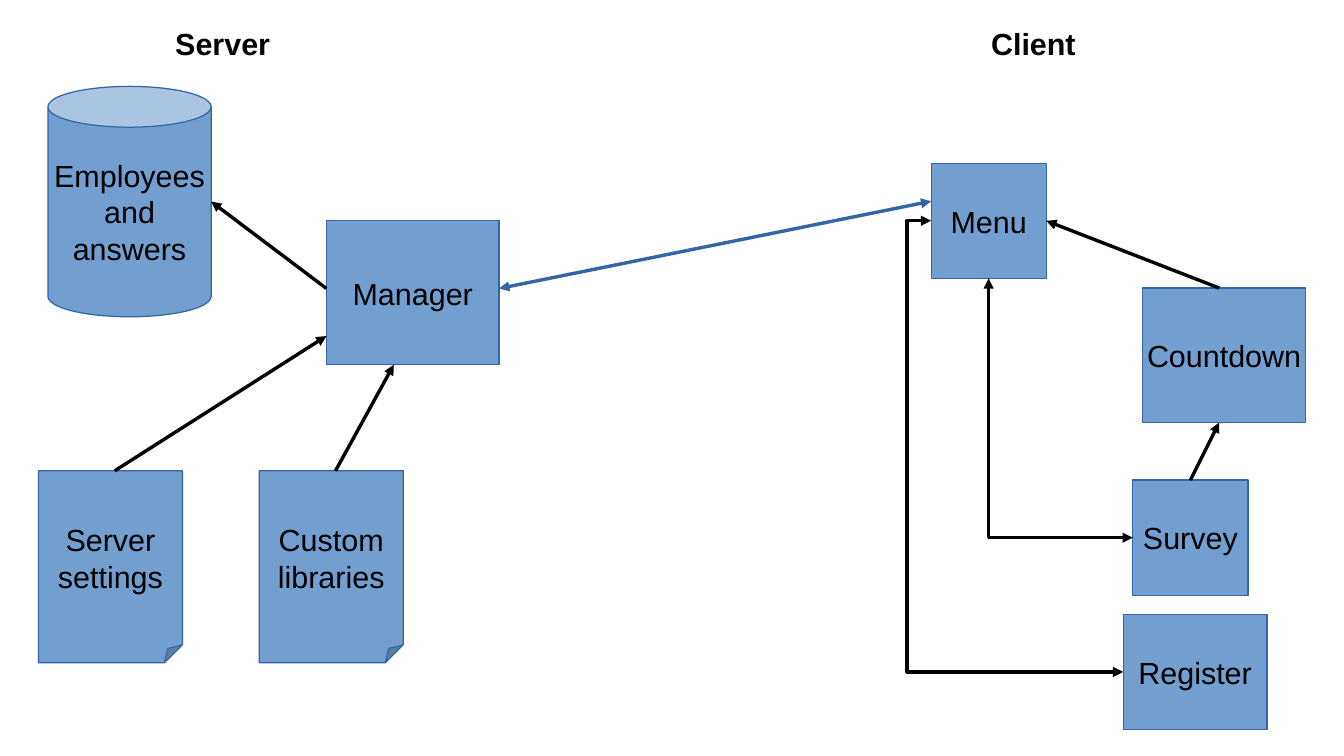
from pptx import Presentation
from pptx.dml.color import RGBColor
from pptx.enum.shapes import MSO_CONNECTOR, MSO_SHAPE
from pptx.enum.text import MSO_ANCHOR, PP_ALIGN
from pptx.oxml.ns import qn
from pptx.util import Pt
from lxml.etree import SubElement

FILL, EDGE, BLACK = "729FCF", "3465A4", "000000"

# Content: headings as text, left
HEADINGS = [("Server", 96.4), ("Client", 578.2)]

# Boxes as name: text, shape, left, top, width, height
BOXES = {
    "countdown": ("Countdown", MSO_SHAPE.RECTANGLE, 674.7, 170.1, 96.4, 79.4),
    "manager": ("Manager", MSO_SHAPE.RECTANGLE, 192.8, 130.4, 102, 85),
    "database": ("Employees\nand\nanswers", MSO_SHAPE.CAN, 28.3, 51, 96.4, 136.1),
    "settings": ("Server\nsettings", MSO_SHAPE.FOLDED_CORNER, 22.7, 278, 85, 113.4),
    "libraries": ("Custom\vlibraries", MSO_SHAPE.FOLDED_CORNER, 153.1, 278, 85, 113.4),
    "menu": ("Menu", MSO_SHAPE.RECTANGLE, 549.9, 96.4, 68, 68),
    "register": ("Register", MSO_SHAPE.RECTANGLE, 663.3, 362.8, 85, 68),
    "survey": ("Survey", MSO_SHAPE.RECTANGLE, 669, 283.5, 68, 68),
}
ADJUSTMENTS = {MSO_SHAPE.CAN: 25000, MSO_SHAPE.FOLDED_CORNER: 12500}

# Arrows: each end is a box and a share of its width and height
ARROWS = [
    (("libraries", 0.53, 0), ("manager", 0.39, 1)),
    (("settings", 0.53, 0), ("manager", 0, 0.8)),
    (("manager", 0, 0.47), ("database", 1, 0.5)),
    (("survey", 0.5, 0), ("countdown", 0.47, 1)),
    (("countdown", 0.47, 0), ("menu", 1, 0.5)),
]
TWO_WAY = [
    (("manager", 1, 0.47), ("menu", 0, 0.33), {"color": EDGE}),
    (("survey", 0, 0.5), ("menu", 0.5, 1), {"preset": "bentConnector2"}),
    (("menu", 0, 0.5), ("register", 0, 0.5), {"preset": "bentConnector3", "bend": -12500}),
]


def rgb(value):
    return RGBColor.from_string(value)


def write(shape, text, bold=None, align=PP_ALIGN.LEFT, anchor=MSO_ANCHOR.TOP, wrap=True):
    frame = shape.text_frame
    frame.text = text
    frame.word_wrap = wrap
    frame.vertical_anchor = anchor
    for para in frame.paragraphs:
        para.alignment = align
        for span in para.runs:
            span.font.name = "Arial"
            span.font.size = Pt(18)
            span.font.bold = bold
            span.font.color.rgb = rgb(BLACK)


def adjust(geometry, guide, value):
    for old in geometry.findall(qn("a:avLst")):
        geometry.remove(old)
    guides = SubElement(geometry, qn("a:avLst"))
    SubElement(guides, qn("a:gd"), name=guide, fmla=f"val {value}")


def place(end):
    name, across, down = end
    left, top, width, height = BOXES[name][2:]
    return Pt(left + across * width), Pt(top + down * height)


def connect(page, start, finish, color=BLACK, preset=None, bend=None, both=False):
    kind = MSO_CONNECTOR.ELBOW if preset else MSO_CONNECTOR.STRAIGHT
    arrow = page.shapes.add_connector(kind, *place(start), *place(finish))
    arrow.line.color.rgb = rgb(color)
    arrow.line.width = Pt(0)
    properties = arrow.element.spPr
    if preset:
        geometry = properties.find(qn("a:prstGeom"))
        geometry.set("prst", preset)
        if bend is not None:
            adjust(geometry, "adj1", bend)
    outline = properties.find(qn("a:ln"))
    for tag in ("a:headEnd", "a:tailEnd") if both else ("a:tailEnd",):
        SubElement(outline, qn(tag), type="triangle")
    SubElement(properties, qn("a:effectLst"))


deck = Presentation()
deck.slide_width, deck.slide_height = Pt(793.7), Pt(446.4)
page = deck.slides.add_slide(deck.slide_layouts[6])

# Headings
for text, left in HEADINGS:
    heading = page.shapes.add_textbox(Pt(left), Pt(11.4), Pt(119), Pt(27.6))
    write(heading, text, bold=True)

# Boxes
for text, kind, *bounds in BOXES.values():
    box = page.shapes.add_shape(kind, *map(Pt, bounds))
    box.shadow.inherit = False
    box.fill.solid()
    box.fill.fore_color.rgb = rgb(FILL)
    box.line.color.rgb = rgb(EDGE)
    box.line.width = Pt(0)
    if kind in ADJUSTMENTS:
        adjust(box.element.spPr.find(qn("a:prstGeom")), "adj", ADJUSTMENTS[kind])
    write(box, text, align=PP_ALIGN.CENTER, anchor=MSO_ANCHOR.MIDDLE, wrap=False)

# Arrows
for start, finish in ARROWS:
    connect(page, start, finish)
for start, finish, style in TWO_WAY:
    connect(page, start, finish, both=True, **style)

deck.save("out.pptx")
